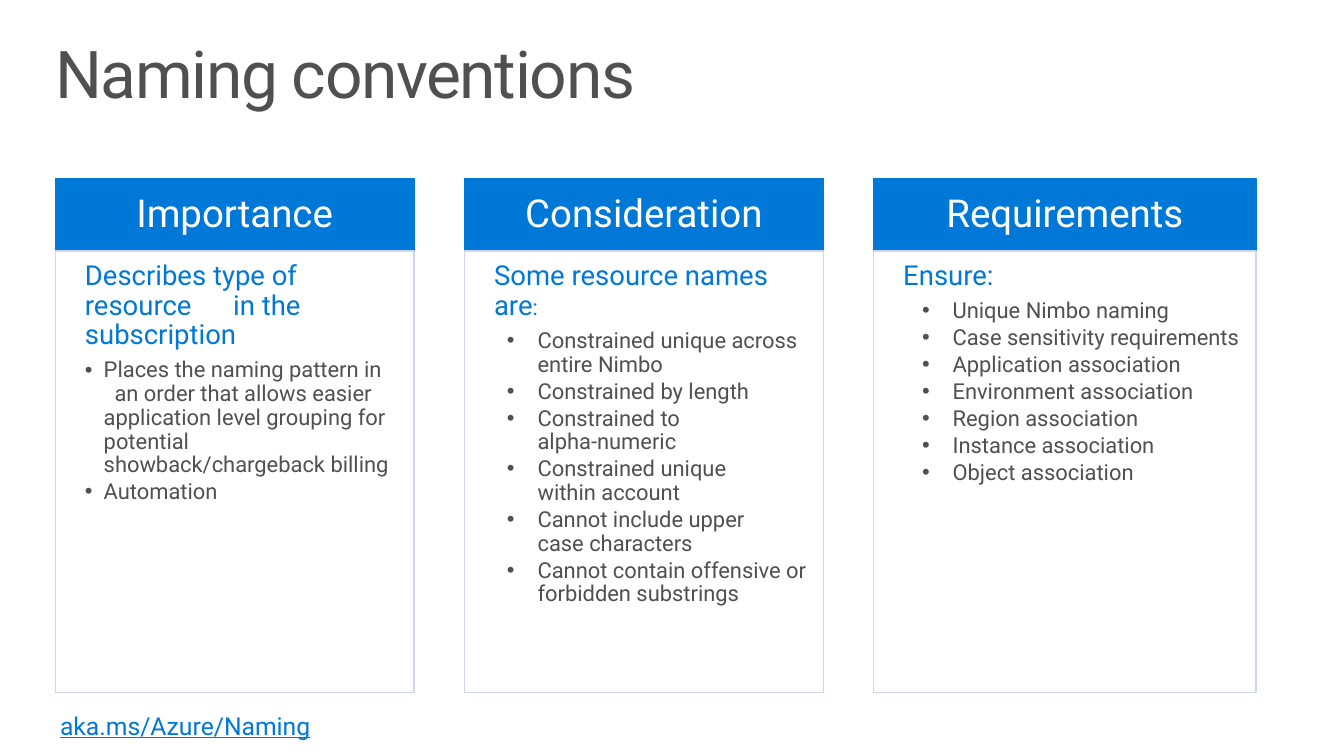
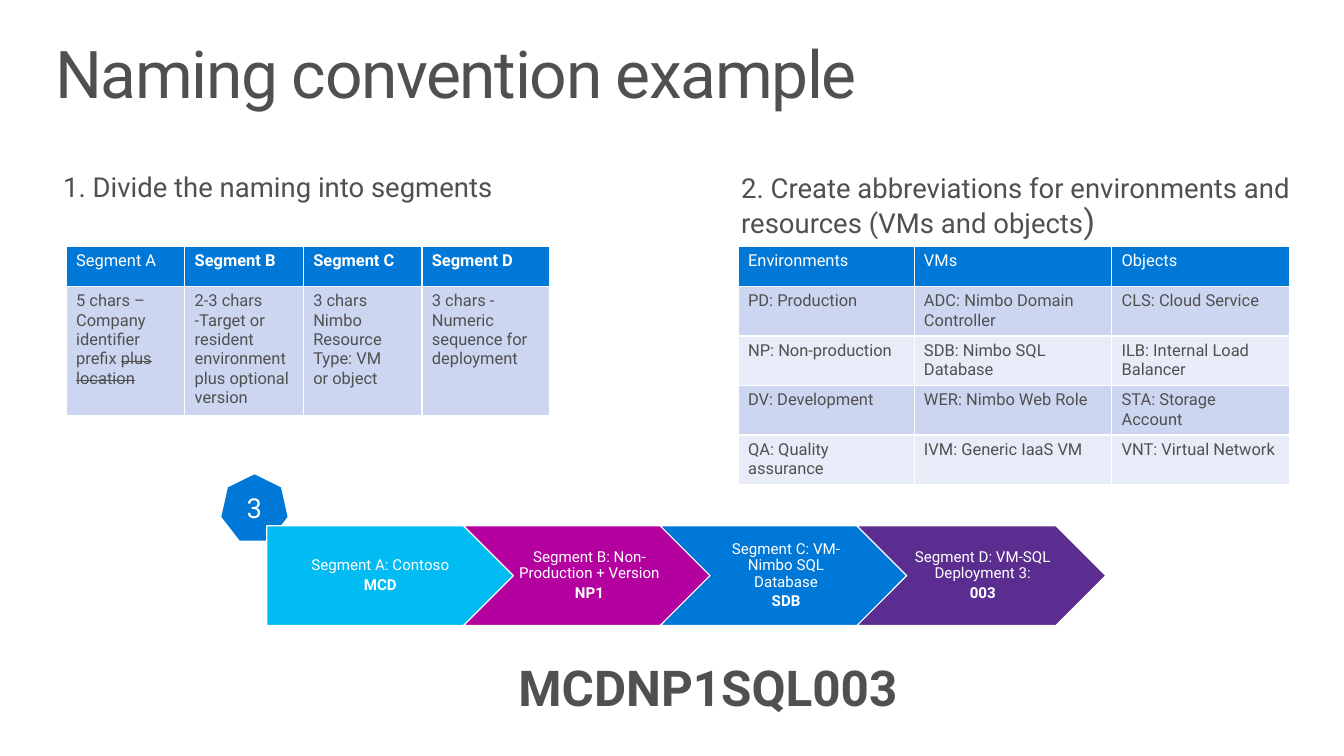
from dataclasses import dataclass

from lxml.etree import SubElement
from pptx import Presentation
from pptx.dml.color import RGBColor
from pptx.enum.shapes import MSO_SHAPE
from pptx.enum.text import MSO_ANCHOR, PP_ALIGN
from pptx.oxml.ns import qn
from pptx.util import Inches, Pt


@dataclass(frozen=True)
class Theme:
    font: str = "Roboto"
    ink: str = "505050"
    blue: str = "0078D7"
    cyan: str = "00BCF2"
    magenta: str = "B4009E"
    purple: str = "5C2D91"
    pale: str = "CCD6F0"
    paler: str = "E7ECF8"
    white: str = "FFFFFF"
    title: int = 48
    result: int = 36
    header: int = 28
    lead: int = 20
    link: int = 18
    body: int = 16
    cell: int = 12
    step: int = 11
    outline: float = 0.85


THEME = Theme()
TIGHT = {"line_spacing": 0.9}
CENTER = {"alignment": PP_ALIGN.CENTER}

# Each style: size, colour, paragraph format
TITLE = (THEME.title, THEME.ink, TIGHT)
HEADER = (THEME.header, THEME.white, {**TIGHT, **CENTER, "space_after": Pt(6)})
LEAD = (THEME.lead, THEME.blue, {**TIGHT, "space_after": Pt(6)})
BULLET = (THEME.body, THEME.ink, {**TIGHT, "space_after": Pt(2.4)})
LINK = (THEME.link, THEME.blue, {})
CAPTION = (THEME.lead, THEME.ink, {**TIGHT, "space_after": Pt(6)})
CELL_HEAD = (THEME.cell, THEME.white, {})
CELL = (THEME.cell, THEME.ink, {})
STEP = (THEME.step, THEME.white, {**TIGHT, **CENTER, "space_after": Pt(2.5)})
BADGE = (THEME.lead, THEME.white, CENTER)
RESULT = (THEME.result, THEME.ink, CENTER)

COLUMNS = [
    # heading, width, bullet indent, hang, lead, lead tab, bullets
    ("Importance", 3.63, 0.19, 0.19,
     [("Describes type of\nresource\tin the\nsubscription", {})], 1.83,
     ["Places the naming pattern in\n\tan order that allows easier application level "
      "grouping for potential showback/chargeback billing",
      "Automation"]),
    ("Consideration", 3.63, 0.44, 0.31,
     [("Some resource names are", {}), (":", {"size": Pt(THEME.body)})], None,
     ["Constrained unique across entire Nimbo",
      "Constrained by length",
      "Constrained to\nalpha-numeric",
      "Constrained unique\nwithin account",
      "Cannot include upper\ncase characters",
      "Cannot contain offensive or forbidden substrings"]),
    ("Requirements", 3.87, 0.5, 0.31,
     [("Ensure:", {})], None,
     ["Unique Nimbo naming",
      "Case sensitivity requirements",
      "Application association",
      "Environment association",
      "Region association",
      "Instance association",
      "Object association"]),
]

SEGMENT_ROWS = [
    ["Segment A"] + [[(f"Segment {letter}", {"bold": True})] for letter in "BCD"],
    [[("5 chars – Company identifier prefix ", {}), ("plus location", {"strike": True})],
     "2-3 chars -Target or resident environment plus optional version",
     "3 chars Nimbo Resource Type: VM\nor object",
     "3 chars - Numeric sequence for deployment"],
]

ABBREVIATION_ROWS = [
    ["Environments", "VMs", "Objects"],
    ["PD: Production", "ADC: Nimbo Domain Controller", "CLS: Cloud Service"],
    ["NP: Non-production", "SDB: Nimbo SQL Database", "ILB: Internal Load Balancer"],
    ["DV: Development", "WER: Nimbo Web Role", "STA: Storage Account"],
    ["QA: Quality assurance", "IVM: Generic IaaS VM", "VNT: Virtual Network"],
]

STEPS = [
    ("Segment A: Contoso", "MCD", THEME.cyan),
    ("Segment B: Non-Production + Version", "NP1", THEME.magenta),
    ("Segment C: VM-Nimbo SQL Database", "SDB", THEME.blue),
    ("Segment D: VM-SQL Deployment 3:", "003", THEME.purple),
]


def apply(target, values):
    for name, value in values.items():
        setattr(target, name, value)


def add_span(para, text, size, color, extra):
    """Add one run; strike and spacing have no public property."""
    span = para.add_run()
    span.text = text
    values = {"name": THEME.font, "size": Pt(size), "bold": False, **extra}
    properties = span._r.get_or_add_rPr()
    if values.pop("strike", False):
        properties.set("strike", "sngStrike")
    if "spacing" in values:
        properties.set("spc", str(values.pop("spacing")))
    apply(span.font, values)
    span.font.color.rgb = RGBColor.from_string(color)


def write(para, content, style):
    """Fill a paragraph from a string or a list of (text, font values)."""
    size, color, layout = style
    apply(para, layout)
    for text, extra in [(content, {})] if isinstance(content, str) else content:
        for number, line in enumerate(text.split("\n")):
            if number:
                para.add_line_break()
            add_span(para, line, size, color, extra)


def indent(para, left=0, hang=0, bullet=None, tab=None):
    properties = para._p.get_or_add_pPr()
    properties.set("marL", str(Inches(left)))
    properties.set("indent", str(-Inches(hang)))
    if bullet:
        SubElement(properties, qn("a:buFont"), typeface="Arial")
        SubElement(properties, qn("a:buChar"), char=bullet)
    if tab:
        stops = SubElement(properties, qn("a:tabLst"))
        SubElement(stops, qn("a:tab"), pos=str(Inches(tab)), algn="l")


def set_frame(frame, insets, anchor=MSO_ANCHOR.TOP):
    sides = ("margin_left", "margin_top", "margin_right", "margin_bottom")
    apply(frame, dict(zip(sides, map(Inches, insets))))
    apply(frame, {"word_wrap": True, "vertical_anchor": anchor})
    return frame


def add_text(slide, box, content, style, insets=(0.1, 0.05, 0.1, 0.05)):
    shape = slide.shapes.add_textbox(*map(Inches, box))
    write(set_frame(shape.text_frame, insets).paragraphs[0], content, style)


def add_block(slide, kind, box, fill, line=None):
    shape = slide.shapes.add_shape(kind, *map(Inches, box))
    shape.shadow.inherit = False
    shape.fill.solid()
    shape.fill.fore_color.rgb = RGBColor.from_string(fill)
    if line:
        shape.line.color.rgb = RGBColor.from_string(line)
        shape.line.width = Pt(THEME.outline)
    else:
        shape.line.fill.background()
    return shape


def add_label(slide, kind, box, fill, content, style, insets, line=None):
    shape = add_block(slide, kind, box, fill, line)
    frame = set_frame(shape.text_frame, insets, MSO_ANCHOR.MIDDLE)
    write(frame.paragraphs[0], content, style)
    return frame


def add_titled_slide(deck, title):
    slide = deck.slides.add_slide(deck.slide_layouts[6])
    add_text(slide, (0.4, 0.32, 12.8, 1), [(title, {"spacing": -100})], TITLE,
             (0.16, 0.1, 0.16, 0.1))
    return slide


def add_column(slide, box, column):
    """Place a heading band with a framed list under it."""
    left, top, width, height = box
    heading, _, list_indent, hang, lead, lead_tab, bullets = column
    band = 0.73
    add_label(slide, MSO_SHAPE.RECTANGLE, (left, top, width, band), THEME.blue,
              heading, HEADER, (0.22, 0.12, 0.22, 0.12), THEME.blue)
    panel = add_block(slide, MSO_SHAPE.RECTANGLE,
                      (left, top + band, width, height - band), THEME.white, THEME.pale)
    frame = set_frame(panel.text_frame, (0.3, 0.11, 0.15, 0.17))
    para = frame.paragraphs[0]
    para.alignment = PP_ALIGN.LEFT
    indent(para, tab=lead_tab)
    write(para, lead, LEAD)
    for bullet in bullets:
        para = frame.add_paragraph()
        para.alignment = PP_ALIGN.LEFT
        tab = list_indent + 0.11 if "\t" in bullet else None
        indent(para, list_indent, hang, "•", tab)
        write(para, bullet, BULLET)


def add_cell_borders(cell):
    properties = cell._tc.get_or_add_tcPr()
    for number, side in enumerate(("lnL", "lnR", "lnT", "lnB")):
        line = properties.makeelement(qn(f"a:{side}"), {"w": str(Pt(1))})
        fill = SubElement(line, qn("a:solidFill"))
        SubElement(fill, qn("a:srgbClr"), val=THEME.white)
        properties.insert(number, line)


def add_grid(slide, left, top, widths, row_height, rows):
    """Place a table with a blue head row and banded body rows."""
    head_height = 0.41
    height = head_height + row_height * (len(rows) - 1)
    table = slide.shapes.add_table(
        len(rows), len(widths),
        *map(Inches, (left, top, sum(widths), height))).table
    for column, width in zip(table.columns, widths):
        column.width = Inches(width)
    for number, row in enumerate(rows):
        table.rows[number].height = Inches(row_height if number else head_height)
        band = THEME.pale if number % 2 else THEME.paler
        for position, content in enumerate(row):
            cell = table.cell(number, position)
            cell.fill.solid()
            cell.fill.fore_color.rgb = RGBColor.from_string(band if number else THEME.blue)
            add_cell_borders(cell)
            write(cell.text_frame.paragraphs[0], content, CELL if number else CELL_HEAD)


def add_steps(slide, box, pitch):
    """Place the numbered badge and the row of overlapping arrows."""
    left, top, width, height = box
    add_label(slide, MSO_SHAPE.HEPTAGON, (left - 0.46, top - 0.52, 0.67, 0.67),
              THEME.blue, "3", BADGE, (0, 0.05, 0, 0.05))
    for number, (text, code, color) in enumerate(STEPS):
        kind = MSO_SHAPE.CHEVRON if number else MSO_SHAPE.PENTAGON
        frame = add_label(slide, kind, (left + number * pitch, top, width, height),
                          color, text, STEP, (0.05, 0.03, 0.02, 0.03), THEME.white)
        write(frame.add_paragraph(), [(code, {"bold": True})], STEP)


def build_conventions(deck):
    slide = add_titled_slide(deck, "Naming conventions")
    for number, column in enumerate(COLUMNS):
        add_column(slide, (0.56 + number * 4.14, 1.81, column[1], 5.2), column)
    add_text(slide, (0.51, 7.14, 3, 0.4),
             [("aka.ms/Azure/Naming", {"underline": True})], LINK)


def build_example(deck):
    slide = add_titled_slide(deck, "Naming convention example")
    caption_insets = (0.2, 0.16, 0.2, 0.16)
    add_text(slide, (0.44, 1.61, 6, 0.63), "1. Divide the naming into segments",
             CAPTION, caption_insets)
    add_text(slide, (7.3, 1.61, 6.21, 0.99),
             [("2. Create abbreviations for environments and resources (VMs and objects", {}),
              (")", {"size": Pt(24)})], CAPTION, caption_insets)
    add_grid(slide, 0.67, 2.49, (1.2, 1.2, 1.2, 1.29), 1.3, SEGMENT_ROWS)
    add_grid(slide, 7.47, 2.49, (1.78, 2, 1.8), 0.5, ABBREVIATION_ROWS)
    add_steps(slide, (2.7, 5.32, 2.52, 1.01), 1.99)
    add_label(slide, MSO_SHAPE.RECTANGLE, (3.22, 6.66, 7.89, 0.58), THEME.white,
              [("MCDNP1SQL003", {"bold": True})], RESULT, (0, 0.05, 0, 0.05))


def main():
    deck = Presentation()
    apply(deck, {"slide_width": Inches(13.6), "slide_height": Inches(7.65)})
    build_conventions(deck)
    build_example(deck)
    deck.save("out.pptx")


if __name__ == "__main__":
    main()
